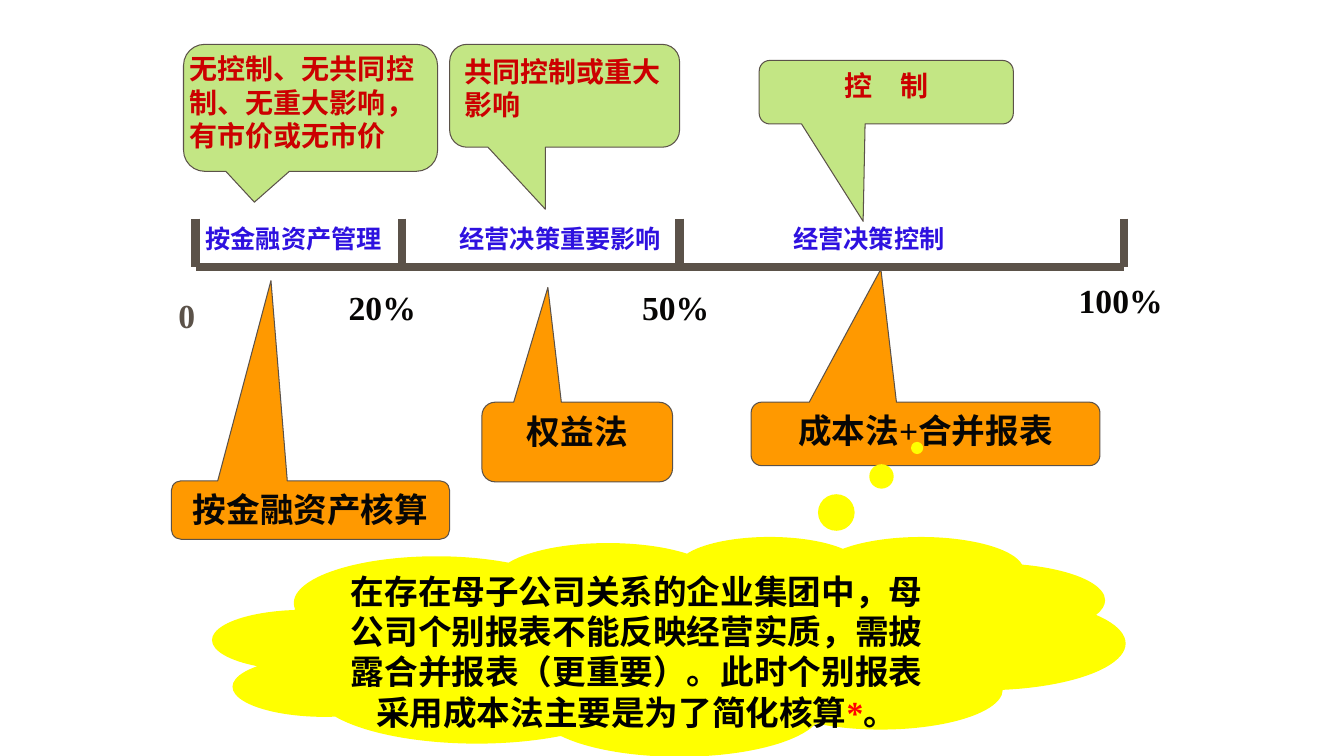
from dataclasses import dataclass

from pptx import Presentation
from pptx.dml.color import RGBColor
from pptx.enum.shapes import MSO_CONNECTOR, MSO_SHAPE
from pptx.enum.text import MSO_ANCHOR, MSO_AUTO_SIZE, PP_ALIGN
from pptx.oxml.ns import qn
from pptx.slide import Slide
from pptx.text.text import TextFrame
from pptx.util import Inches, Pt

LINE = MSO_CONNECTOR.STRAIGHT
ROUND = MSO_SHAPE.ROUNDED_RECTANGULAR_CALLOUT
CLOUD = MSO_SHAPE.CLOUD_CALLOUT
TOP = MSO_ANCHOR.TOP
GROW = MSO_AUTO_SIZE.SHAPE_TO_FIT_TEXT
LEFT, MID = PP_ALIGN.LEFT, PP_ALIGN.CENTER

FONT = "Times New Roman"
COLORS = {
    "axis": "5B5249",
    "ink": "070605",
    "blue": "2E11DF",
    "crimson": "CC0000",
    "green": "C3E684",
    "orange": "FF9900",
    "yellow": "FFFF00",
    "black": "000000",
    "red": "FF0000",
}

Box = tuple[float, float, float, float]
WIDE: Box = (0.1, 0.05, 0.1, 0.05)
SLIM: Box = (0.02, 0.01, 0.02, 0.01)


@dataclass
class Run:
    text: str
    color: str
    size: int = 24


@dataclass
class Label:
    box: Box
    run: Run


@dataclass
class Callout:
    box: Box
    tip: tuple[float, float]
    fill: str
    runs: list[Run]
    align: PP_ALIGN = MID
    inset: Box = WIDE
    kind: MSO_SHAPE = ROUND
    edge: bool = True


AXIS_TOP, AXIS_Y = 2.17, 2.65
TICKS = [1.94, 3.99, 6.74, 11.15]

LABELS = [
    Label((1.67, 2.88, 0.67, 0.5), Run("0", "axis")),
    Label((3.36, 2.8, 1.02, 0.5), Run("20%", "ink")),
    Label((6.27, 2.8, 1.02, 0.5), Run("50%", "ink")),
    Label((10.6, 2.73, 1.18, 0.5), Run("100%", "ink")),
    Label((1.94, AXIS_TOP, 2.13, 0.4), Run("按金融资产管理", "blue", 18)),
    Label((4.46, AXIS_TOP, 2.44, 0.4), Run("经营决策重要影响", "blue", 18)),
    Label((7.77, AXIS_TOP, 2.44, 0.4), Run("经营决策控制", "blue", 18)),
]

CALLOUTS = [
    Callout((1.82, 0.44, 2.52, 1.26), (-0.221, 0.743), "green",
            [Run("无控制、无共同控制、无重大影响，有市价或无市价", "crimson", 20)],
            LEFT, (0, 0.01, 0.02, 0.01)),
    Callout((4.46, 0.44, 2.28, 1.02), (-0.084, 1.103), "green",
            [Run("共同控制或重大影响", "crimson", 20)], LEFT),
    Callout((7.53, 0.6, 2.52, 0.63), (-0.091, 2.034), "green",
            [Run("控　制", "crimson", 20)]),
    Callout((1.7, 4.77, 2.76, 0.58), (-0.142, -3.925), "orange",
            [Run("按金融资产核算", "ink")]),
    Callout((4.78, 3.99, 1.89, 0.79), (-0.154, -1.941), "orange",
            [Run("权益法", "ink")]),
    Callout((7.45, 3.99, 3.46, 0.63), (-0.128, -2.596), "orange",
            [Run("成本法+合并报表", "ink")]),
    Callout((2.11, 5.32, 9.05, 2.18), (0.272, -0.902), "yellow",
            [Run("在存在母子公司关系的企业集团中，母公司个别报表不能反映经营实质，"
                 "需披露合并报表（更重要）。此时个别报表采用成本法主要是为了简化核算", "black"),
             Run("*", "red"), Run("。", "black")],
            MID, SLIM, CLOUD, False),
]


def tint(name: str) -> RGBColor:
    return RGBColor.from_string(COLORS[name])


def write(frame: TextFrame, runs: list[Run], align: PP_ALIGN, inset: Box) -> None:
    frame.word_wrap = True
    frame.vertical_anchor = TOP
    (frame.margin_left, frame.margin_top,
     frame.margin_right, frame.margin_bottom) = map(Inches, inset)
    para = frame.paragraphs[0]
    para.alignment = align
    for run in runs:
        part = para.add_run()
        part.text = run.text
        part.font.name = FONT
        part.font.size = Pt(run.size)
        part.font.bold = True
        part.font.color.rgb = tint(run.color)


def draw_line(slide: Slide, x1: float, y1: float, x2: float, y2: float) -> None:
    line = slide.shapes.add_connector(LINE, *map(Inches, (x1, y1, x2, y2)))
    line.line.color.rgb = tint("axis")
    line.line.width = Pt(6)
    props = line._element.spPr
    props.append(props.makeelement(qn("a:effectLst"), {}))


def draw_label(slide: Slide, label: Label) -> None:
    box = slide.shapes.add_textbox(*map(Inches, label.box))
    write(box.text_frame, [label.run], LEFT, WIDE)
    box.text_frame.auto_size = GROW


def draw_callout(slide: Slide, item: Callout) -> None:
    shape = slide.shapes.add_shape(item.kind, *map(Inches, item.box))
    shape.shadow.inherit = False
    shape.adjustments[0], shape.adjustments[1] = item.tip
    shape.fill.solid()
    shape.fill.fore_color.rgb = tint(item.fill)
    if item.edge:
        shape.line.color.rgb = tint("axis")
        shape.line.width = Pt(0.75)
    else:
        shape.line.fill.background()
    write(shape.text_frame, item.runs, item.align, item.inset)


def main() -> None:
    deck = Presentation()
    deck.slide_width, deck.slide_height = Inches(13.33), Inches(7.5)
    slide = deck.slides.add_slide(deck.slide_layouts[6])
    draw_line(slide, TICKS[0], AXIS_Y, TICKS[-1], AXIS_Y)
    for tick in TICKS:
        draw_line(slide, tick, AXIS_TOP, tick, AXIS_Y)
    for label in LABELS:
        draw_label(slide, label)
    for item in CALLOUTS:
        draw_callout(slide, item)
    deck.save("out.pptx")


if __name__ == "__main__":
    main()
